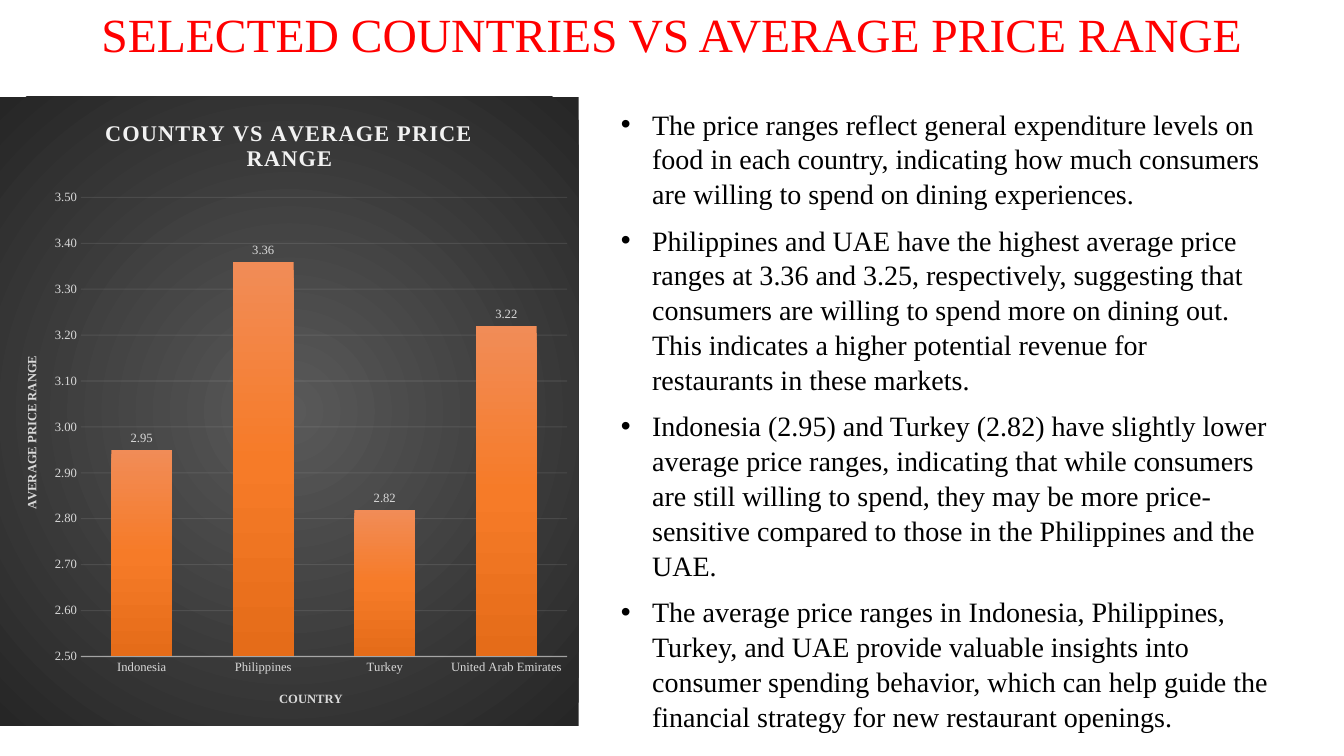
"""Build a slide that pairs a price range column chart with its findings."""
from lxml import etree
from pptx import Presentation
from pptx.chart.data import CategoryChartData
from pptx.dml.color import RGBColor
from pptx.enum.chart import XL_CHART_TYPE, XL_LABEL_POSITION, XL_TICK_MARK
from pptx.enum.text import PP_ALIGN
from pptx.oxml import parse_xml
from pptx.oxml.ns import nsdecls, qn
from pptx.util import Inches, Pt

COLUMN = XL_CHART_TYPE.COLUMN_CLUSTERED
OUTSIDE_END = XL_LABEL_POSITION.OUTSIDE_END
NO_TICK = XL_TICK_MARK.NONE
CENTER = PP_ALIGN.CENTER

TITLE = "SELECTED COUNTRIES VS AVERAGE PRICE RANGE"
CHART_TITLE = "COUNTRY VS AVERAGE PRICE RANGE"
CATEGORY_TITLE = "COUNTRY"
VALUE_TITLE = "AVERAGE PRICE RANGE"
PRICES = {"Indonesia": 2.95, "Philippines": 3.36, "Turkey": 2.82, "United Arab Emirates": 3.22}
FINDINGS = [
    "The price ranges reflect general expenditure levels on food in each country, indicating how "
    "much consumers are willing to spend on dining experiences.",
    "Philippines and UAE have the highest average price ranges at 3.36 and 3.25, respectively, "
    "suggesting that consumers are willing to spend more on dining out. This indicates a higher "
    "potential revenue for restaurants in these markets.",
    "Indonesia (2.95) and Turkey (2.82) have slightly lower average price ranges, indicating that "
    "while consumers are still willing to spend, they may be more price-sensitive compared to "
    "those in the Philippines and the UAE.",
    "The average price ranges in Indonesia, Philippines, Turkey, and UAE provide valuable insights "
    "into consumer spending behavior, which can help guide the financial strategy for new "
    "restaurant openings.",
]
BOXES = {"title": (0, 0, 13.33, 0.67), "chart": (0, 0.96, 5.74, 6.24), "findings": (6.06, 1, 6.67, 6.16)}
PLOT = {"x": 0.14, "y": 0.16, "w": 0.84, "h": 0.73}
THEME = {
    "font": "Times New Roman",
    "title": "FF0000", "body": "000000", "chart_title": "F2F2F2", "label": "D9D9D9", "line": "F2F2F2",
    "panel": [(0, "595959"), (100, "262626")],
    "bar": [(0, "F18C57"), (50, "F67B28"), (100, "E56C19")],
    "title_size": 34, "body_size": 20, "chart_title_size": 16, "label_size": 9,
}


def style(font, size, color, bold=False):
    font.name, font.size, font.bold = THEME["font"], Pt(size), bold
    font.color.rgb = RGBColor.from_string(color)


def add_run(p, text, size, color, bold=False):
    r = p.add_run()
    r.text = text
    style(r.font, size, color, bold)
    return r


def gradient(stops, direction):
    marks = "".join(f'<a:gs pos="{pos * 1000}"><a:srgbClr val="{color}"/></a:gs>' for pos, color in stops)
    return parse_xml(f'<a:gradFill {nsdecls("a")} rotWithShape="1"><a:gsLst>{marks}</a:gsLst>{direction}</a:gradFill>')


def style_line(line, width, opacity):
    line.width = Pt(width)
    line.color.rgb = RGBColor.from_string(THEME["line"])
    color = line.fill._xPr.find(".//" + qn("a:srgbClr"))
    etree.SubElement(color, qn("a:alpha")).set("val", str(opacity * 1000))


def style_axis(axis, title):
    axis.major_tick_mark = axis.minor_tick_mark = NO_TICK
    style(axis.tick_labels.font, THEME["label_size"], THEME["label"])
    add_run(axis.axis_title.text_frame.paragraphs[0], title, THEME["label_size"], THEME["label"], True)


def add_text_box(s, box):
    tf = s.shapes.add_textbox(*map(Inches, box)).text_frame
    tf.word_wrap = True
    return tf


def add_price_chart(s):
    data = CategoryChartData(number_format="0.00")
    data.categories = list(PRICES)
    data.add_series("Series 1", list(PRICES.values()))
    chart = s.shapes.add_chart(COLUMN, *map(Inches, BOXES["chart"]), data).chart
    chart.has_legend = False
    style(chart.font, 10, THEME["body"])
    title = chart.chart_title.text_frame.paragraphs[0]
    r = add_run(title, CHART_TITLE, THEME["chart_title_size"], THEME["chart_title"], True)
    r.font._element.set("spc", "100")
    chart.chart_title.include_in_layout = False

    style_axis(chart.category_axis, CATEGORY_TITLE)
    style_line(chart.category_axis.format.line, 1, 54)
    values = chart.value_axis
    style_axis(values, VALUE_TITLE)
    values.minimum_scale, values.maximum_scale, values.major_unit = 2.5, 3.5, 0.1
    values.tick_labels.number_format = "0.00"
    values.tick_labels.number_format_is_linked = False
    values.format.line.fill.background()
    style_line(values.major_gridlines.format.line, 0.75, 10)

    plot = chart.plots[0]
    plot.gap_width, plot.overlap, plot.vary_by_categories = 100, -24, False
    labels = plot.series[0].data_labels
    labels.show_value, labels.position = True, OUTSIDE_END
    labels.number_format, labels.number_format_is_linked = "0.00", False
    style(labels.font, THEME["label_size"], THEME["label"])
    bar = plot.series[0].format.fill._xPr
    bar.insert(0, gradient(THEME["bar"], '<a:lin ang="5400000" scaled="0"/>'))

    area = chart._chartSpace.chart.plotArea
    for old in area.findall(qn("c:layout")):
        area.remove(old)
    sizes = "".join(f'<c:{key} val="{val}"/>' for key, val in PLOT.items())
    area.insert(0, parse_xml(
        f'<c:layout {nsdecls("c")}><c:manualLayout><c:layoutTarget val="inner"/>'
        f'<c:xMode val="edge"/><c:yMode val="edge"/>{sizes}</c:manualLayout></c:layout>'))
    panel = parse_xml(f'<c:spPr {nsdecls("c", "a")}><a:ln><a:noFill/></a:ln></c:spPr>')
    center = '<a:path path="circle"><a:fillToRect l="50000" t="50000" r="50000" b="50000"/></a:path>'
    panel.insert(0, gradient(THEME["panel"], center))
    chart._chartSpace.chart.addnext(panel)


def add_findings(s):
    tf = add_text_box(s, BOXES["findings"])
    for i, finding in enumerate(FINDINGS):
        p = tf.add_paragraph() if i else tf.paragraphs[0]
        p.space_after, p.line_spacing = Pt(8), 1.04
        pPr = p._p.get_or_add_pPr()
        pPr.set("marL", str(Inches(0.31)))
        pPr.set("indent", str(-Inches(0.31)))
        etree.SubElement(pPr, qn("a:buFont")).set("typeface", "Arial")
        etree.SubElement(pPr, qn("a:buChar")).set("char", "•")
        add_run(p, finding, THEME["body_size"], THEME["body"])


def main():
    prs = Presentation()
    prs.slide_width, prs.slide_height = Inches(13.33), Inches(7.5)
    s = prs.slides.add_slide(prs.slide_layouts[6])
    add_price_chart(s)
    p = add_text_box(s, BOXES["title"]).paragraphs[0]
    p.alignment = CENTER
    add_run(p, TITLE, THEME["title_size"], THEME["title"])
    add_findings(s)
    prs.save("out.pptx")


if __name__ == "__main__":
    main()
